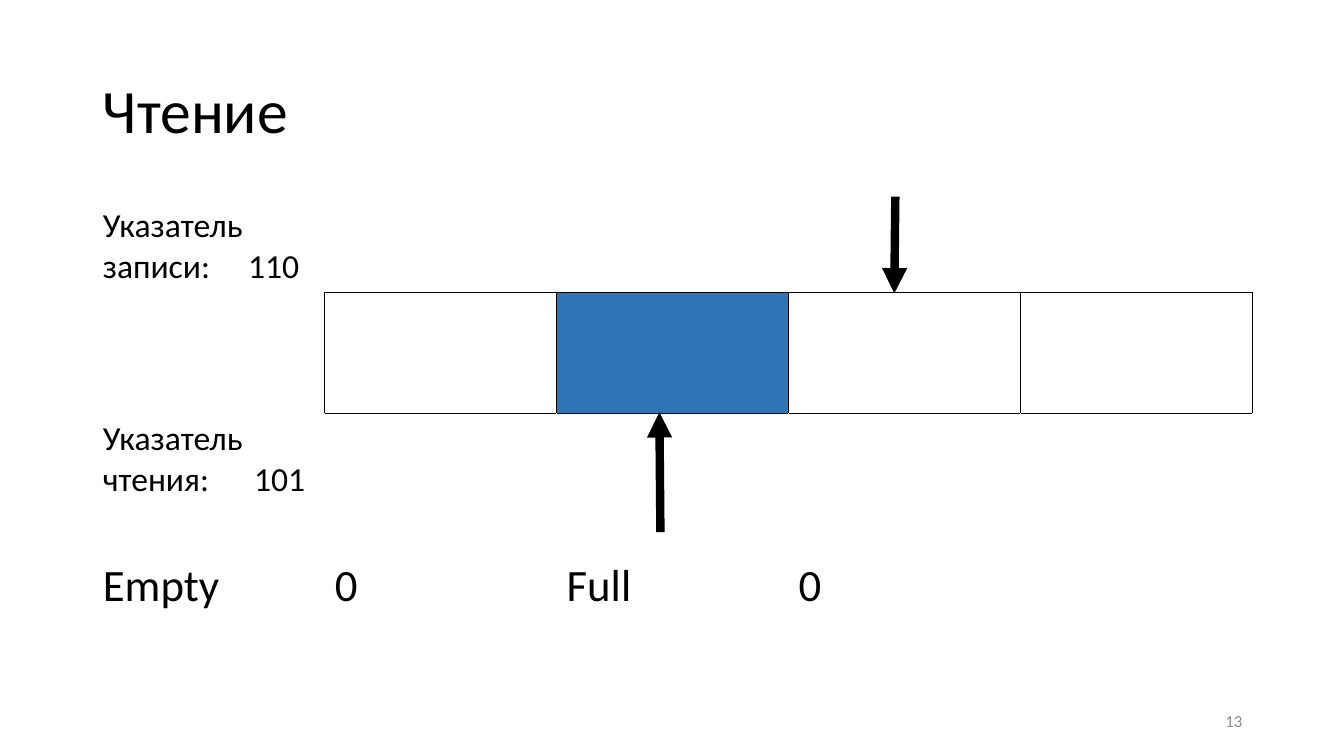
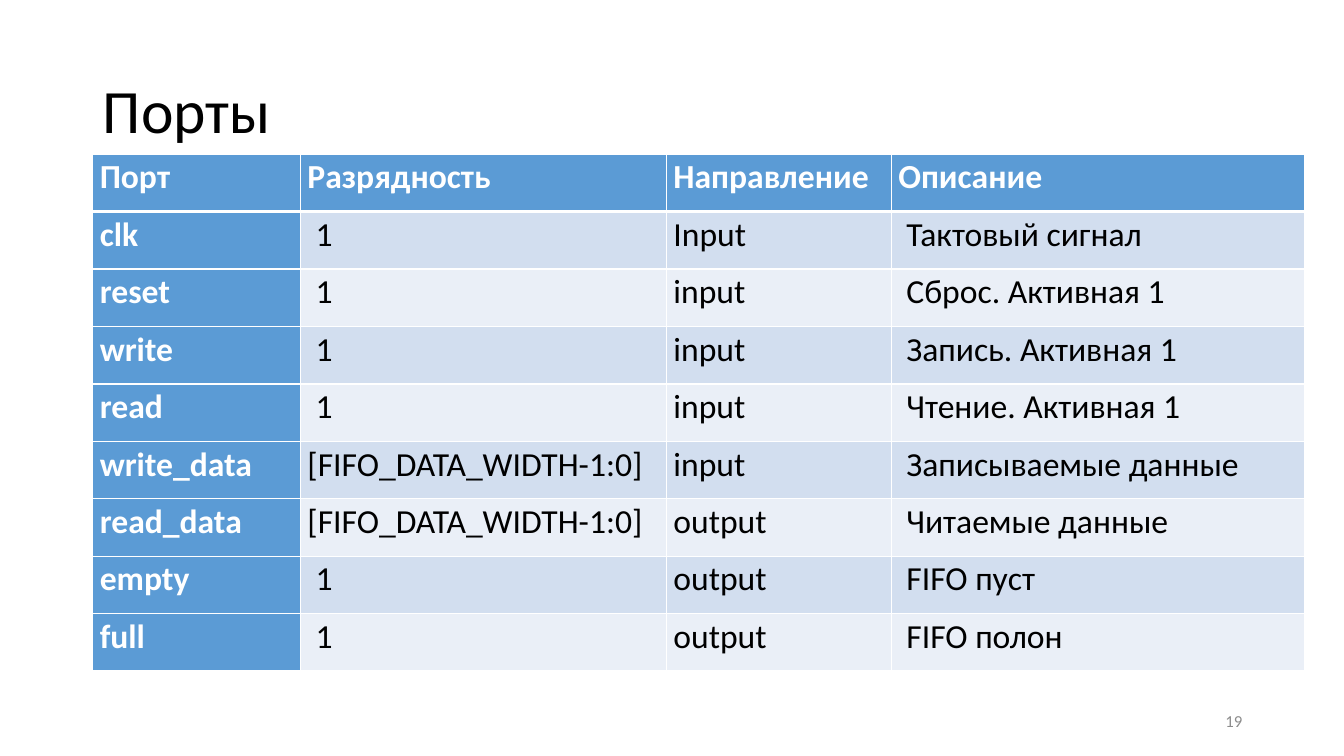
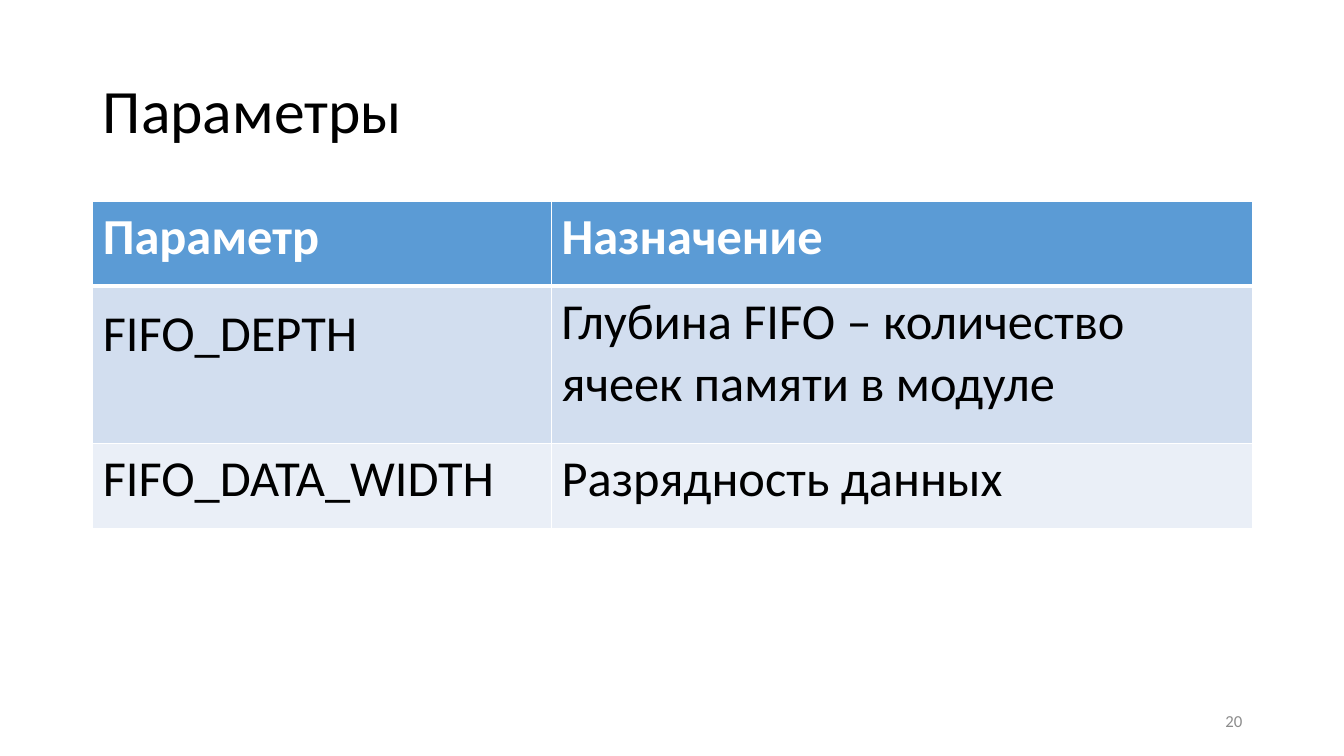
from dataclasses import dataclass

from lxml import etree
from pptx import Presentation
from pptx.dml.color import RGBColor
from pptx.enum.shapes import MSO_CONNECTOR
from pptx.enum.text import MSO_ANCHOR, MSO_AUTO_SIZE, PP_ALIGN
from pptx.oxml.ns import qn
from pptx.util import Inches, Pt

STRAIGHT = MSO_CONNECTOR.STRAIGHT
TOP, MID, LOW = MSO_ANCHOR.TOP, MSO_ANCHOR.MIDDLE, MSO_ANCHOR.BOTTOM
LEFT, RIGHT = PP_ALIGN.LEFT, PP_ALIGN.RIGHT
FIXED = MSO_AUTO_SIZE.NONE


@dataclass(frozen=True)
class Theme:
    font: str = "Calibri"
    ink: str = "000000"
    paper: str = "FFFFFF"
    gray: str = "8C8C8C"
    head: str = "5B9BD5"
    bands: tuple = ("D2DEEF", "EAEFF7")
    full: str = "2E75B6"
    title: int = 44
    large: int = 36
    flag: int = 32
    body: int = 24
    small: int = 12
    thin: int = 1
    thick: int = 3
    arrow: int = 6


T = Theme()
SIDES = {"L": (0, -1), "R": (0, 1), "T": (-1, 0), "B": (1, 0)}
EDGE = 0.92
WIDE = 11.5

QUEUE = {
    "title": "Чтение",
    "page": 13,
    "rows": [
        ["Указатель записи:\t110", "", "", "", ""],
        ["", "", "", "", ""],
        ["Указатель чтения:\t101", "", "", "", ""],
        ["Empty", "0", "Full", "0", ""],
    ],
    "highs": [1.2, 1.2, 1.39, 1.2],
    "sizes": [T.body, T.body, T.body, T.flag],
    "anchors": [LOW, TOP, TOP, TOP],
    "tabs": {0: 1.44, 2: 1.5},
    "full": (1, 2),
    "arrows": [((8.88, 1.95), (8.87, 2.91)), ((6.55, 5.28), (6.54, 4.09))],
}
PORTS = {
    "title": "Порты",
    "page": 19,
    "rows": [
        ["Порт", "Разрядность", "Направление", "Описание"],
        ["clk", "1", "Input", "Тактовый сигнал"],
        ["reset", "1", "input", "Сброс. Активная 1"],
        ["write", "1", "input", "Запись. Активная 1"],
        ["read", "1", "input", "Чтение. Активная 1"],
        ["write_data", "[FIFO_DATA_WIDTH-1:0]", "input", "Записываемые данные"],
        ["read_data", "[FIFO_DATA_WIDTH-1:0]", "output", "Читаемые данные"],
        ["empty", "1", "output", "FIFO пуст"],
        ["full", "1", "output", "FIFO полон"],
    ],
    "top": 1.53,
    "cols": [2.06, 3.63, 2.23, 4.1],
    "highs": [0.57] * 9,
}
PARAMS = {
    "title": "Параметры",
    "page": 20,
    "rows": [
        ["Параметр", "Назначение"],
        ["FIFO_DEPTH", "Глубина FIFO – количество ячеек памяти в модуле"],
        ["FIFO_DATA_WIDTH", "Разрядность данных"],
    ],
    "top": 2,
    "cols": [4.55, 6.95],
    "highs": [0.84, 1.56, 0.84],
}


def color(code):
    return RGBColor.from_string(code)


def assign(item, values):
    for name, value in values.items():
        setattr(item, name, value)


def write(frame, text, size, ink=T.ink, bold=False, align=LEFT, space=None):
    para = frame.paragraphs[0]
    assign(para, {"alignment": align, "line_spacing": space})
    run = para.add_run()
    run.text = text
    assign(run.font, {"name": T.font, "size": Pt(size), "bold": bold})
    run.font.color.rgb = color(ink)
    return para


def start(deck, data):
    slide = deck.slides.add_slide(deck.slide_layouts[5])
    title = slide.shapes.title
    page = slide.shapes.add_textbox(0, 0, 0, 0)
    spots = [
        (title, (EDGE, 0.4, WIDE, 1.45), data["title"], T.title, T.ink, LEFT, 0.9),
        (page, (9.42, 6.95, 3, 0.4), str(data["page"]), T.small, T.gray, RIGHT, None),
    ]
    for shape, box, text, size, ink, align, space in spots:
        assign(shape, dict(zip(("left", "top", "width", "height"), map(Inches, box))))
        frame = shape.text_frame
        assign(frame, {"word_wrap": True, "auto_size": FIXED, "vertical_anchor": MID})
        write(frame, text, size, ink, align=align, space=space)
    return slide


def add_grid(slide, data, top, cols, head):
    rows, highs = data["rows"], data["highs"]
    box = map(Inches, (EDGE, top, sum(cols), sum(highs)))
    grid = slide.shapes.add_table(len(rows), len(cols), *box).table
    assign(grid, {"first_row": head, "horz_banding": False})
    for col, wide in zip(grid.columns, cols):
        col.width = Inches(wide)
    for row, high in zip(grid.rows, highs):
        row.height = Inches(high)
    return grid


def paint(cell, fill, lines):
    props = cell._tc.get_or_add_tcPr()
    for side, (ink, width) in lines.items():
        line = etree.SubElement(props, qn(f"a:ln{side}"), w=str(Pt(width)))
        solid = etree.SubElement(line, qn("a:solidFill"))
        etree.SubElement(solid, qn("a:srgbClr"), val=ink)
    cell.fill.solid()
    cell.fill.fore_color.rgb = color(fill)


def add_arrow(slide, begin, end):
    ends = map(Inches, (*begin, *end))
    arrow = slide.shapes.add_connector(STRAIGHT, *ends)
    arrow.line.width = Pt(T.arrow)
    arrow.line.color.rgb = color(T.ink)
    etree.SubElement(arrow.line._get_or_add_ln(), qn("a:tailEnd"), type="triangle")
    etree.SubElement(arrow._element.spPr, qn("a:effectLst"))


def in_queue(row, col):
    return row == 1 and 1 <= col <= 4


def add_queue(deck, data):
    slide = start(deck, data)
    grid = add_grid(slide, data, 1.7, [WIDE / 5] * 5, False)
    for r, row in enumerate(data["rows"]):
        for c, text in enumerate(row):
            cell = grid.cell(r, c)
            lines = {}
            for side, (down, over) in SIDES.items():
                dark = in_queue(r, c) or in_queue(r + down, c + over)
                lines[side] = (T.ink if dark else T.paper, T.thin)
            paint(cell, T.full if (r, c) == data["full"] else T.paper, lines)
            cell.vertical_anchor = data["anchors"][r]
            if not text:
                continue
            para = write(cell.text_frame, text, data["sizes"][r])
            if "\t" in text:
                stops = etree.SubElement(para._p.get_or_add_pPr(), qn("a:tabLst"))
                spot = str(Inches(data["tabs"][r]))
                etree.SubElement(stops, qn("a:tab"), pos=spot, algn="l")
    for begin, end in data["arrows"]:
        add_arrow(slide, begin, end)


def add_list(deck, data, size, style):
    slide = start(deck, data)
    grid = add_grid(slide, data, data["top"], data["cols"], True)
    for r, row in enumerate(data["rows"]):
        for c, text in enumerate(row):
            cell = grid.cell(r, c)
            margins, space, strong = style(r, c, text)
            lines = {side: (T.paper, T.thin) for side in SIDES}
            if r < 2:
                lines["T" if r else "B"] = (T.paper, T.thick)
            paint(cell, T.head if strong else T.bands[(r - 1) % 2], lines)
            assign(cell, margins)
            ink = T.paper if strong else T.ink
            write(cell.text_frame, text, size, ink, strong, space=space)


def port_style(row, col, text):
    inset = row > 0 and (col == 3 or text == "1")
    margins = {
        "margin_left": Inches(0.15 if inset else 0.07),
        "margin_right": Inches(0.07),
        "margin_top": 0,
        "margin_bottom": 0,
    }
    return margins, 1.07, row == 0 or col == 0


def param_style(row, col, text):
    return {}, 1.2 if (row, col) == (1, 0) else None, row == 0


def main():
    deck = Presentation()
    assign(deck, {"slide_width": Inches(13.33), "slide_height": Inches(7.5)})
    add_queue(deck, QUEUE)
    add_list(deck, PORTS, T.body, port_style)
    add_list(deck, PARAMS, T.large, param_style)
    deck.save("out.pptx")


if __name__ == "__main__":
    main()
